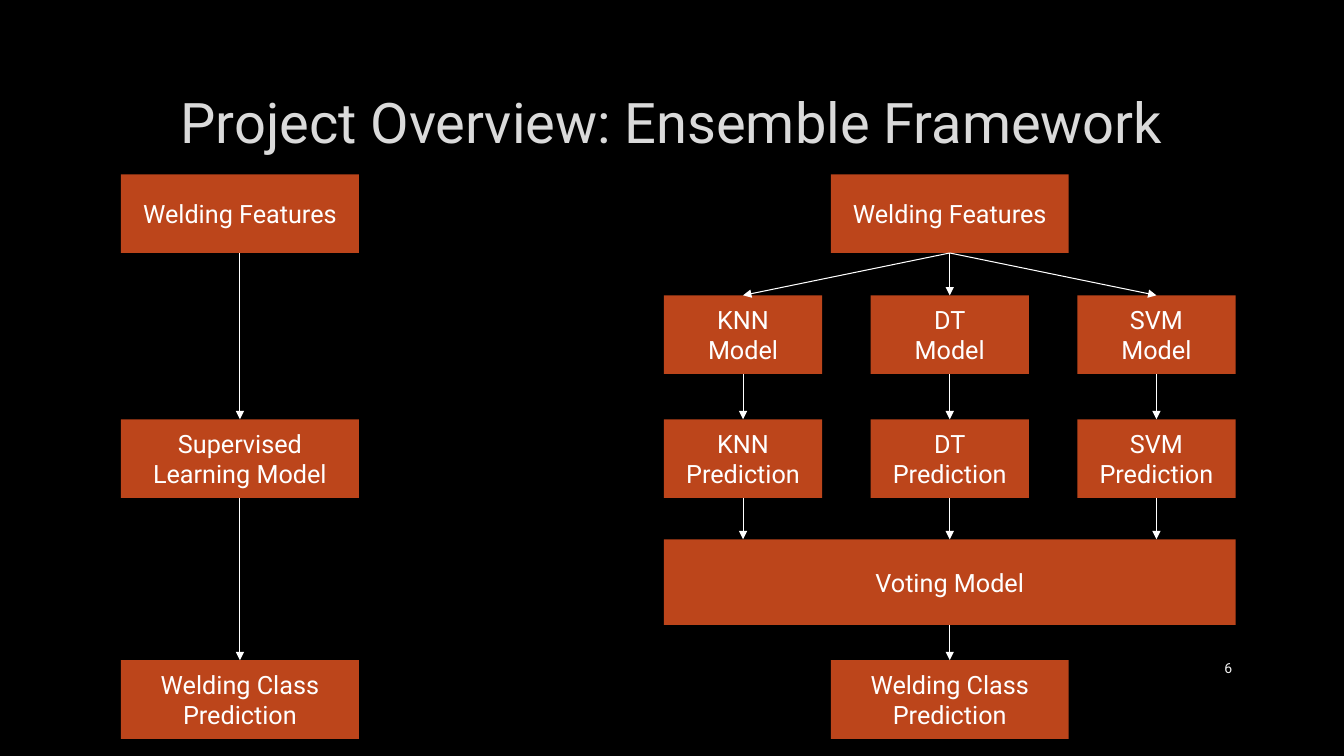
from pptx import Presentation
from pptx.dml.color import RGBColor
from pptx.enum.shapes import MSO_CONNECTOR as Link, MSO_SHAPE as Shape
from pptx.enum.text import MSO_ANCHOR as Anchor, PP_ALIGN as Align
from pptx.util import Inches, Pt
from lxml.etree import SubElement
from pptx.oxml.ns import qn


def color(code):
    return RGBColor.from_string(code)


class Board:
    font = "Roboto"
    fill = "BC451B"
    ink = "FFFFFF"

    def __init__(self, slide):
        self.slide = slide
        back = slide.background.fill
        back.solid()
        back.fore_color.rgb = color("000000")

    def style(self, shape, text, size, ink, align):
        frame = shape.text_frame
        frame.word_wrap = True
        frame.vertical_anchor = Anchor.MIDDLE
        frame.text = text
        for para in frame.paragraphs:
            para.alignment = align
            for run in para.runs:
                run.font.name = self.font
                run.font.size = Pt(size)
                run.font.color.rgb = color(ink)

    def label(self, text, left, top, width, height, size, ink, align):
        area = map(Inches, (left, top, width, height))
        self.style(self.slide.shapes.add_textbox(*area), text, size, ink, align)

    def box(self, text, mid, top, width, height=0.78):
        area = map(Inches, (mid - width / 2, top, width, height))
        shape = self.slide.shapes.add_shape(Shape.RECTANGLE, *area)
        shape.shadow.inherit = False
        shape.fill.solid()
        shape.fill.fore_color.rgb = color(self.fill)
        shape.line.fill.background()
        self.style(shape, text, 18, self.ink, Align.CENTER)

    def arrow(self, start, top, end, base):
        ends = map(Inches, (start, top, end, base))
        link = self.slide.shapes.add_connector(Link.STRAIGHT, *ends)
        link.line.color.rgb = color(self.ink)
        link.line.width = Pt(0.75)
        props = link._element.spPr
        SubElement(props.find(qn("a:ln")), qn("a:tailEnd"), type="triangle")
        SubElement(props, qn("a:effectLst"))


def main():
    deck = Presentation()
    deck.slide_width = Inches(13.33)
    deck.slide_height = Inches(7.5)
    board = Board(deck.slides.add_slide(deck.slide_layouts[6]))

    board.label("Project Overview: Ensemble Framework",
                1, 0.67, 11.32, 1.06, 40, "DADADA", Align.CENTER)

    single, hub, gap = 2.38, 9.42, 2.05
    first, model, guess, vote, last = 1.73, 2.93, 4.16, 5.35, 6.55
    high, wide = 0.78, 2.36

    for mid in (single, hub):
        board.box("Welding Features", mid, first, wide)
        board.box("Welding Class Prediction", mid, last, wide)
    board.box("Supervised Learning Model", single, guess, wide)
    board.box("Voting Model", hub, vote, 5.67, 0.85)

    for top, base in ((first, guess), (guess, last)):
        board.arrow(single, top + high, single, base)

    for step, name in enumerate(("KNN", "DT", "SVM"), -1):
        mid = hub + step * gap
        board.box(f"{name}\nModel", mid, model, 1.57)
        board.box(f"{name}\nPrediction", mid, guess, 1.57)
        board.arrow(hub, first + high, mid, model)
        board.arrow(mid, model + high, mid, guess)
        board.arrow(mid, guess + high, mid, vote)
    board.arrow(hub, vote + 0.85, hub, last)

    board.label("6", 11.5, 6.43, 0.82, 0.4, 10, "F2F2F2", Align.RIGHT)
    deck.save("out.pptx")


if __name__ == "__main__":
    main()
